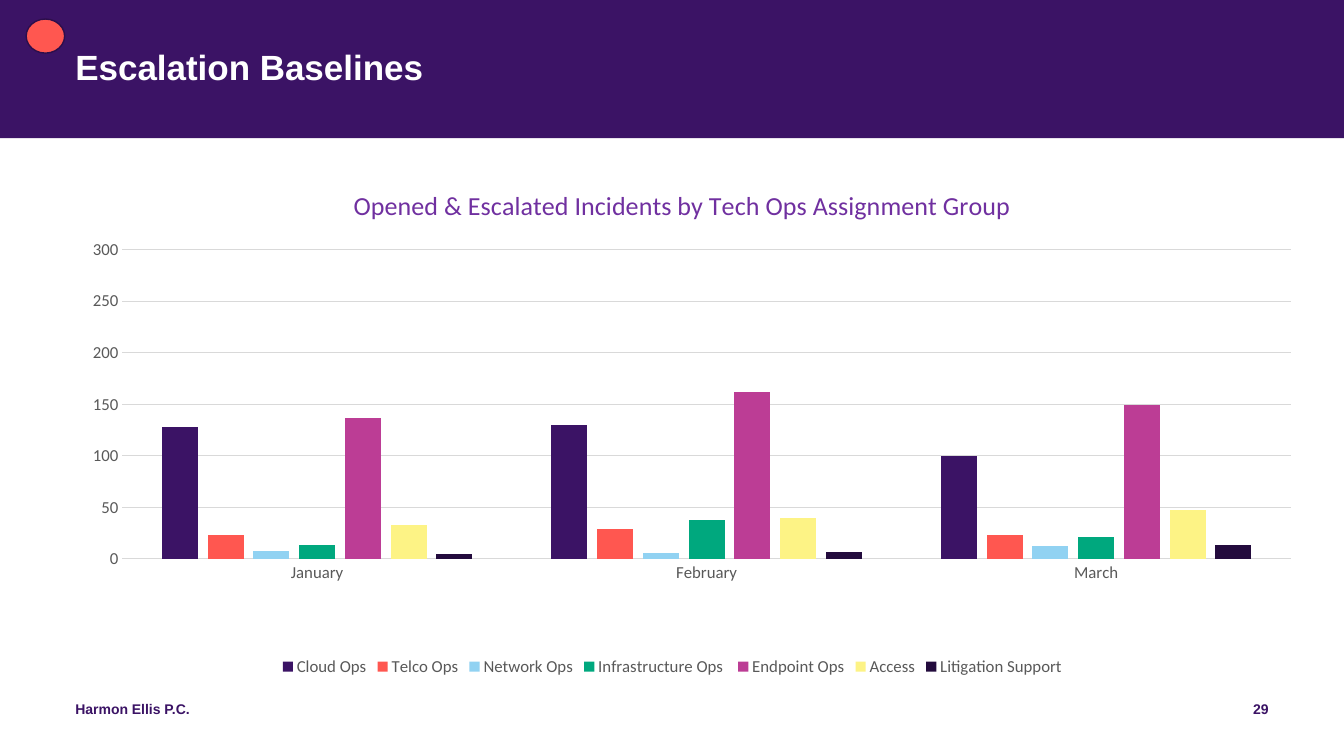
from lxml import etree
from pptx import Presentation
from pptx.chart.data import CategoryChartData
from pptx.dml.color import RGBColor
from pptx.enum.chart import XL_CHART_TYPE, XL_LEGEND_POSITION, XL_TICK_MARK
from pptx.enum.shapes import MSO_SHAPE
from pptx.enum.text import PP_ALIGN
from pptx.oxml.ns import qn
from pptx.util import Cm, Pt

COLUMNS = XL_CHART_TYPE.COLUMN_CLUSTERED
BOTTOM = XL_LEGEND_POSITION.BOTTOM
NO_TICK = XL_TICK_MARK.NONE
RECT, OVAL = MSO_SHAPE.RECTANGLE, MSO_SHAPE.OVAL
LEFT, RIGHT = PP_ALIGN.LEFT, PP_ALIGN.RIGHT

PURPLE = RGBColor(0x3B, 0x13, 0x65)
DARK_PURPLE = RGBColor(0x2C, 0x0E, 0x4B)
CORAL = RGBColor(0xFF, 0x57, 0x50)
SKY = RGBColor(0x91, 0xD2, 0xF2)
GREEN = RGBColor(0x00, 0xA8, 0x7E)
MAGENTA = RGBColor(0xBC, 0x3D, 0x95)
YELLOW = RGBColor(0xFD, 0xF3, 0x85)
NIGHT = RGBColor(0x23, 0x0B, 0x3D)
VIOLET = RGBColor(0x70, 0x30, 0xA0)
GREY = RGBColor(0x59, 0x59, 0x59)
LIGHT_GREY = RGBColor(0xD9, 0xD9, 0xD9)
WHITE = RGBColor(0xFF, 0xFF, 0xFF)

# Content
HEADING = "Escalation Baselines"
FIRM = "Harmon Ellis P.C."
PAGE = "29"
CHART_TITLE = "Opened & Escalated Incidents by Tech Ops Assignment Group"
MONTHS = ("January", "February", "March")
GROUPS = [
    ("Cloud Ops", (128, 130, 100), PURPLE),
    ("Telco Ops", (23, 29, 23), CORAL),
    ("Network Ops", (8, 6, 12), SKY),
    ("Infrastructure Ops ", (13, 38, 21), GREEN),
    ("Endpoint Ops", (137, 162, 149), MAGENTA),
    ("Access", (33, 40, 47), YELLOW),
    ("Litigation Support", (5, 7, 13), NIGHT),
]

# Page grid, in cm
WIDTH, HEIGHT = 33.87, 19.05
MARGIN = 1.9
FOOTER_TOP, FOOTER_HEIGHT = 17.65, 1.02
PAGE_WIDTH = 7.62


def add_panel(slide, kind, box, fill):
    panel = slide.shapes.add_shape(kind, *map(Cm, box))
    panel.shadow.inherit = False
    panel.fill.solid()
    panel.fill.fore_color.rgb = fill
    panel.line.fill.background()
    return panel


def add_label(slide, text, box, size, color, align=LEFT, spacing=1.0):
    frame = slide.shapes.add_textbox(*map(Cm, box)).text_frame
    frame.word_wrap = True
    frame.margin_left = frame.margin_right = 0
    frame.margin_top = frame.margin_bottom = 0
    paragraph = frame.paragraphs[0]
    paragraph.alignment = align
    paragraph.line_spacing = spacing
    run = paragraph.add_run()
    run.text = text
    style_font(run.font, "Arial", size, color, True)


def style_font(font, name, size, color, bold=False):
    font.name = name
    font.size = Pt(size)
    font.bold = bold
    font.color.rgb = color


def style_line(line, color):
    line.color.rgb = color
    line.width = Pt(0.75)


def set_layout(parent, position, **settings):
    """Place a chart part by fractions of the chart area."""
    for old in parent.findall(qn("c:layout")):
        parent.remove(old)
    layout = etree.Element(qn("c:layout"))
    manual = etree.SubElement(layout, qn("c:manualLayout"))
    for tag, value in {**settings, "xMode": "edge", "yMode": "edge", **position}.items():
        etree.SubElement(manual, qn("c:" + tag)).set("val", str(value))
    text = parent.find(qn("c:tx"))
    parent.insert(0 if text is None else 1, layout)


def add_incident_chart(slide):
    data = CategoryChartData()
    data.categories = MONTHS
    for name, counts, _ in GROUPS:
        data.add_series(name, counts)
    box = (0.64, 3.94, 32.61, 13.21)
    chart = slide.shapes.add_chart(COLUMNS, *map(Cm, box), data).chart
    style_font(chart.font, "Calibri", 12, GREY)

    # Title
    chart.has_title = True
    title_run = chart.chart_title.text_frame.paragraphs[0].add_run()
    title_run.text = CHART_TITLE
    style_font(title_run.font, "Calibri", 18.6, VIOLET)
    chart.chart_title.include_in_layout = False
    set_layout(chart.chart_title._element, {"x": 0.25, "y": 0.05})

    # Columns
    plot = chart.plots[0]
    plot.gap_width = 219
    plot.overlap = -27
    plot.vary_by_categories = False
    for series, (_, _, color) in zip(plot.series, GROUPS):
        series.format.fill.solid()
        series.format.fill.fore_color.rgb = color
        series.invert_if_negative = False
    set_layout(plot._element.getparent(),
               {"x": 0.075, "y": 0.178, "w": 0.903, "h": 0.59}, layoutTarget="inner")

    # Axes
    for axis in (chart.category_axis, chart.value_axis):
        axis.major_tick_mark = axis.minor_tick_mark = NO_TICK
        style_font(axis.tick_labels.font, "Calibri", 12, GREY)
    style_line(chart.category_axis.format.line, LIGHT_GREY)
    counts_axis = chart.value_axis
    counts_axis.minimum_scale, counts_axis.maximum_scale = 0, 300
    counts_axis.major_unit = 50
    counts_axis.format.line.fill.background()
    style_line(counts_axis.major_gridlines.format.line, LIGHT_GREY)

    # Legend
    chart.has_legend = True
    chart.legend.position = BOTTOM
    chart.legend.include_in_layout = False
    style_font(chart.legend.font, "Calibri", 12, GREY)


def main():
    deck = Presentation()
    deck.slide_width, deck.slide_height = Cm(WIDTH), Cm(HEIGHT)
    slide = deck.slides.add_slide(deck.slide_layouts[6])

    # Header band and footer
    add_panel(slide, RECT, (0, 0, WIDTH, 3.48), PURPLE)
    add_label(slide, FIRM, (MARGIN, FOOTER_TOP, 11.43, FOOTER_HEIGHT), 10, PURPLE)
    page_left = WIDTH - MARGIN - PAGE_WIDTH
    add_label(slide, PAGE, (page_left, FOOTER_TOP, PAGE_WIDTH, FOOTER_HEIGHT),
              10, PURPLE, RIGHT)
    add_label(slide, HEADING, (MARGIN, 1.27, WIDTH - 2 * MARGIN, 2.06),
              25, WHITE, spacing=0.9)

    add_incident_chart(slide)

    # Status dot
    dot = add_panel(slide, OVAL, (0.66, 0.48, 0.97, 0.86), CORAL)
    dot.line.color.rgb = DARK_PURPLE
    dot.line.width = Pt(1)

    deck.save("out.pptx")


if __name__ == "__main__":
    main()
